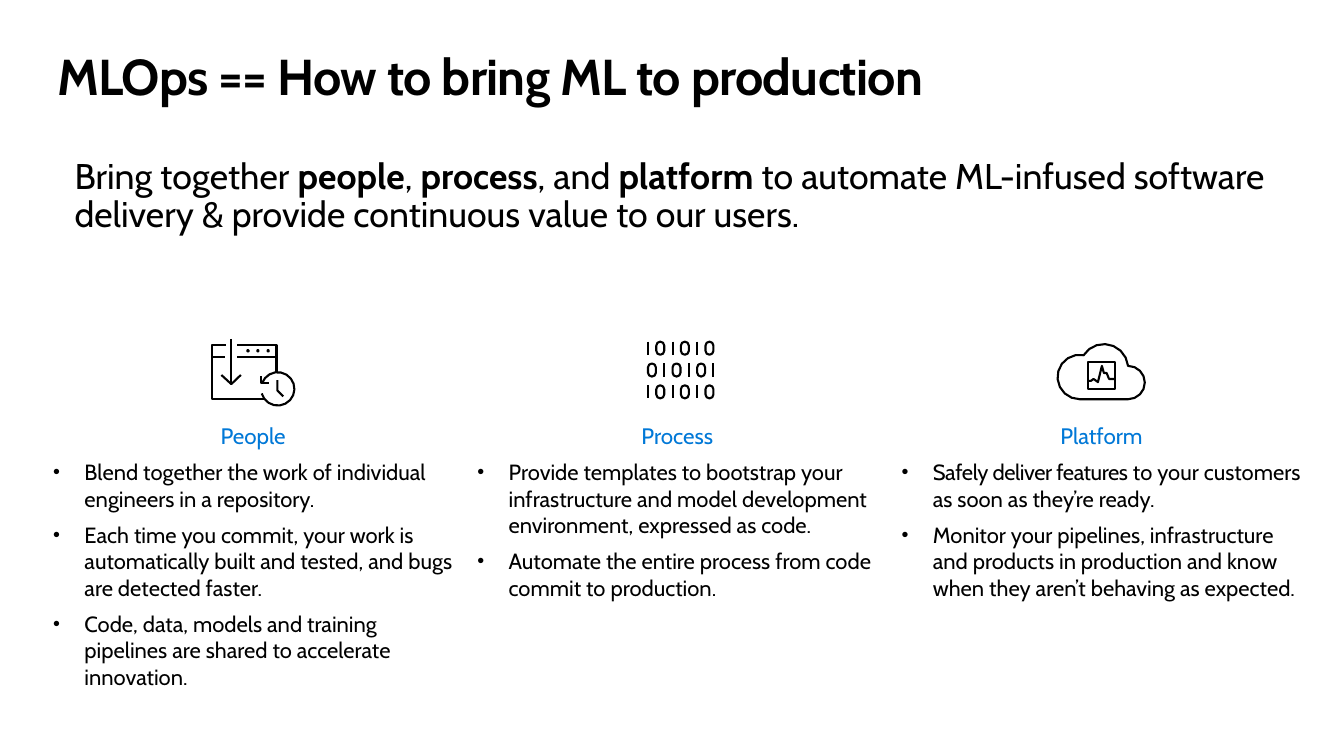
import math
from dataclasses import dataclass

import lxml.etree
import pptx
import pptx.dml.color
import pptx.enum.text
import pptx.oxml.ns
import pptx.util

Cm = pptx.util.Cm
Pt = pptx.util.Pt
qn = pptx.oxml.ns.qn


@dataclass(frozen=True)
class Theme:
    font: str = "Cabin"
    black: str = "000000"
    white: str = "FFFFFF"
    blue: str = "0078D7"
    title_size: float = 36
    lead_size: float = 25.5
    heading_size: float = 16
    bullet_size: float = 15.7
    icon_line: float = 1.5


THEME = Theme()


def rgb(value):
    return pptx.dml.color.RGBColor.from_string(value)


# Text helpers
def add_text_frame(slide, box, insets=(0, 0)):
    left, top, width, height = box
    shape = slide.shapes.add_textbox(Cm(left), Cm(top), Cm(width), Cm(height))
    frame = shape.text_frame
    frame.word_wrap = True
    frame.margin_left, frame.margin_top = Cm(insets[0]), Cm(insets[1])
    frame.margin_right = frame.margin_bottom = 0
    return frame


def style_paragraph(paragraph, size, color, bold=False):
    font = paragraph.font
    font.name, font.size, font.bold = THEME.font, Pt(size), bold
    font.color.rgb = rgb(color)


def add_run(paragraph, text, bold=None, spacing=None):
    run = paragraph.add_run()
    run.text = text
    if bold:
        run.font.bold = True
    if spacing:
        run.font._element.set("spc", str(round(spacing * 100)))


def add_bullet(paragraph, indent=0.79):
    properties = paragraph._p.get_or_add_pPr()
    properties.set("marL", str(Cm(indent)))
    properties.set("indent", str(-Cm(indent)))
    lxml.etree.SubElement(properties, qn("a:buSzPct")).set("val", "90000")
    lxml.etree.SubElement(properties, qn("a:buFont")).set("typeface", "Arial")
    lxml.etree.SubElement(properties, qn("a:buChar")).set("char", "•")


# Outline helpers: contours are (points, closed) in cm from the icon's corner
def arc(center_x, center_y, radius, start, end, steps):
    angles = [math.radians(start + (end - start) * i / steps) for i in range(steps + 1)]
    return [(center_x + radius * math.cos(a), center_y + radius * math.sin(a)) for a in angles]


def draw_outline(slide, origin, contours, fill=None):
    def place(point):
        return tuple(round((base + offset) * 1000) for base, offset in zip(origin, point))

    builder = None
    for points, closed in contours:
        first, *rest = [place(point) for point in points]
        if builder is None:
            builder = slide.shapes.build_freeform(*first, scale=Cm(1) / 1000)
        else:
            builder.move_to(*first)
        builder.add_line_segments(rest, close=closed)
    shape = builder.convert_to_shape()
    shape.shadow.inherit = False
    shape.line.color.rgb = rgb(THEME.black)
    shape.line.width = Pt(THEME.icon_line)
    if fill:
        shape.fill.solid()
        shape.fill.fore_color.rgb = rgb(fill)
    else:
        shape.fill.background()


# Icons
def draw_window_icon(slide, origin):
    window = [
        ([(0.64, 0.15), (1.63, 0.15), (1.63, 1.52), (0, 1.52), (0, 0.15), (0.36, 0.15)], False),
        ([(0.64, 0.46), (1.63, 0.46)], False),
        ([(0, 0.46), (0.33, 0.46)], False),
        ([(0.24, 0.91), (0.49, 1.14), (0.73, 0.91)], False),
        ([(0.49, 0), (0.49, 1.14)], False),
    ]
    window += [(arc(x, 0.3, 0.02, 0, 270, 3), True) for x in (0.91, 1.16, 1.42)]
    clock = [
        ([(1.8, 1.45), (1.65, 1.3), (1.65, 1.04)], False),
        ([(1.24, 0.94), (1.24, 1.12), (1.45, 1.12)], False),
        (arc(1.66, 1.26, 0.42, 164, -160, 16), False),
    ]
    draw_outline(slide, origin, window, THEME.white)
    draw_outline(slide, origin, clock, THEME.white)


def draw_binary_icon(slide, origin):
    digit_height, radius, pitch, row_pitch = 0.33, 0.1, 0.31, 0.55
    contours = []
    for row, digits in enumerate(("101010", "010101", "101010")):
        top = row * row_pitch
        first_x = radius if digits[0] == "0" else 0
        for column, digit in enumerate(digits):
            x = first_x + column * pitch
            if digit == "1":
                contours.append(([(x, top), (x, top + digit_height)], False))
            else:
                upper = arc(x, top + radius, radius, 180, 360, 4)
                lower = arc(x, top + digit_height - radius, radius, 0, 180, 4)
                contours.append((upper + lower, True))
    draw_outline(slide, origin, contours)


def draw_cloud_icon(slide, origin):
    cloud = (arc(0.56, 0.84, 0.56, 90, 280, 9) + arc(1.17, 0.62, 0.61, 212, 354, 7)
             + arc(1.78, 0.98, 0.42, 270, 450, 8))
    screen = [(0.76, 1.14), (0.76, 0.46), (1.45, 0.46), (1.45, 1.14)]
    pulse = [(1.45, 0.89), (1.3, 0.89), (1.24, 0.74), (1.17, 0.74), (1.12, 0.56),
             (1.02, 0.97), (0.91, 0.89), (0.84, 0.94), (0.76, 0.94)]
    draw_outline(slide, origin, [(cloud, True)])
    draw_outline(slide, origin, [(screen, True), (pulse, False)])


# Regions
def add_title(slide, box):
    paragraph = add_text_frame(slide, box, (0.25, 0.46)).paragraphs[0]
    paragraph.line_spacing = 0.9
    style_paragraph(paragraph, THEME.title_size, THEME.black, bold=True)
    add_run(paragraph, "MLOps == How to bring ML to production", spacing=-0.5)


def add_lead(slide, box):
    paragraph = add_text_frame(slide, box, (0.25, 0)).paragraphs[0]
    paragraph.line_spacing = 0.9
    style_paragraph(paragraph, THEME.lead_size, THEME.black)
    parts = ("Bring together ", "people", ", ", "process", ", and ", "platform",
             " to automate ML-infused software delivery & provide continuous value to our users.")
    for index, text in enumerate(parts):
        add_run(paragraph, text, bold=index % 2 == 1)


def add_pillar(slide, box, heading, draw_icon, icon_offset, bullets):
    left, top, width, height = box
    text_offset = 2.1
    frame = add_text_frame(slide, (left, top + text_offset, width, height - text_offset))
    title = frame.paragraphs[0]
    title.alignment = pptx.enum.text.PP_ALIGN.CENTER
    title.space_after = Pt(7)
    style_paragraph(title, THEME.heading_size, THEME.blue)
    add_run(title, heading)
    for runs in bullets:
        paragraph = frame.add_paragraph()
        paragraph.space_after = Pt(7)
        add_bullet(paragraph)
        style_paragraph(paragraph, THEME.bullet_size, THEME.black)
        for text, spacing in runs:
            add_run(paragraph, text, spacing=spacing)
    draw_icon(slide, (left + icon_offset[0], top + icon_offset[1]))


PILLARS = [
    ("People", draw_window_icon, (4, 0), 9.34, [
        [("Blend together the work of individual engineers in a repository.", 0)],
        [("Each time you commit, your work is automatically built and tested, "
          "and bugs are detected faster.", 0)],
        [("Code, data, models and training pipelines are shared to accelerate innovation.", 0)],
    ]),
    ("Process", draw_binary_icon, (4.3, 0.07), 10.15, [
        [("Provide templates to bootstrap your infrastructure and model development "
          "environment, expressed as code.", 0)],
        [("Automate the entire process from code commit to production.", 0)],
    ]),
    ("Platform", draw_cloud_icon, (3.93, 0.12), 6.62, [
        [("Safely deliver features", -0.3), (" to your customers as soon as they’re ready.", 0)],
        [("Monitor your pipelines, infrastructure and products in production and know "
          "when they aren’t behaving as expected.", 0)],
    ]),
]


def main():
    presentation = pptx.Presentation()
    presentation.slide_width, presentation.slide_height = Cm(33.87), Cm(19.05)
    slide = presentation.slides.add_slide(presentation.slide_layouts[6])
    add_title(slide, (1.19, 0.84, 31.5, 2.06))
    add_lead(slide, (1.63, 3.99, 30.61, 2.39))
    for index, (heading, draw_icon, offset, height, bullets) in enumerate(PILLARS):
        box = (1.34 + index * 10.69, 8.54, 10.08, height)
        add_pillar(slide, box, heading, draw_icon, offset, bullets)
    presentation.save("out.pptx")


if __name__ == "__main__":
    main()
